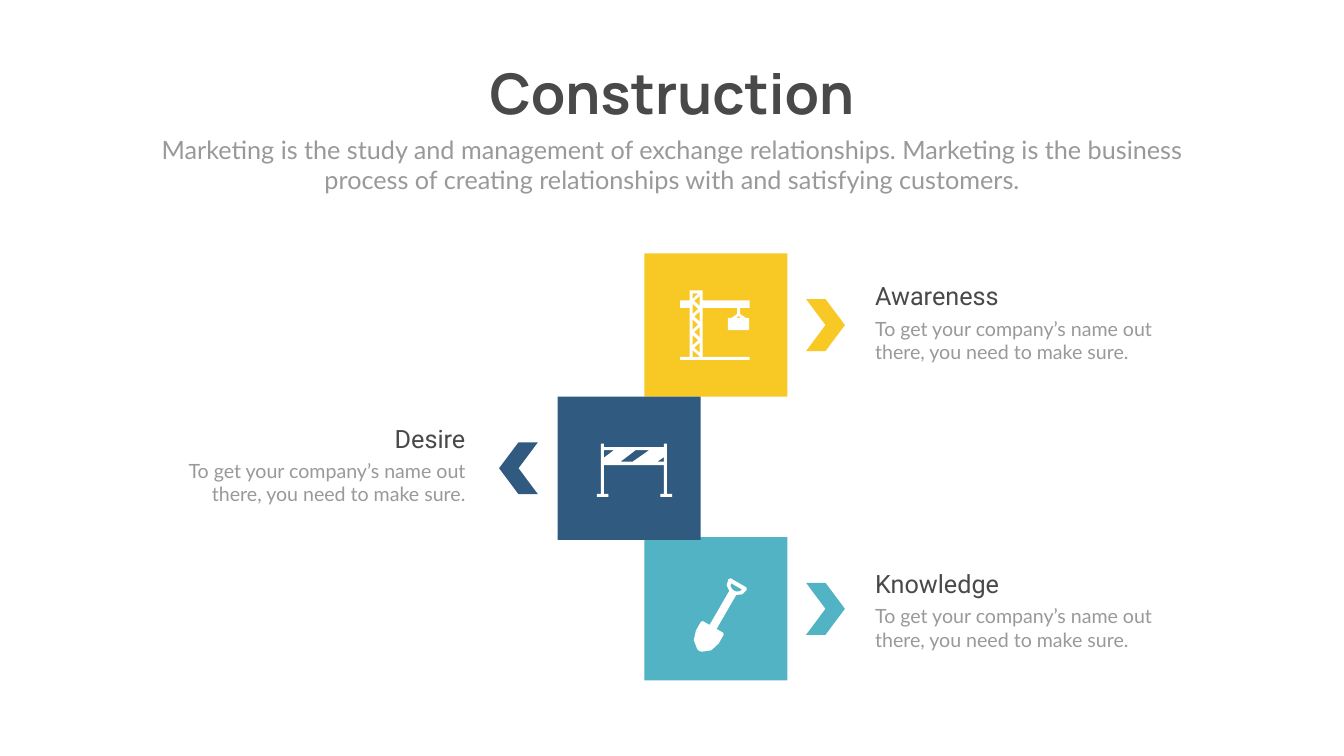
"""Build the Construction slide: three stepped squares with icons, chevrons and captions."""
from pptx import Presentation
from pptx.dml.color import RGBColor
from pptx.enum.shapes import MSO_SHAPE
from pptx.enum.text import MSO_AUTO_SIZE, PP_ALIGN
from pptx.util import Inches, Pt

RECTANGLE, CHEVRON = MSO_SHAPE.RECTANGLE, MSO_SHAPE.CHEVRON
LEFT, CENTER, RIGHT = PP_ALIGN.LEFT, PP_ALIGN.CENTER, PP_ALIGN.RIGHT
FIT_SHAPE = MSO_AUTO_SIZE.SHAPE_TO_FIT_TEXT
WHITE = RGBColor(0xFF, 0xFF, 0xFF)
DARK = RGBColor(0x49, 0x49, 0x49)
GRAY = RGBColor(0x99, 0x99, 0x99)
YELLOW = RGBColor(0xF8, 0xC8, 0x25)
TEAL = RGBColor(0x52, 0xB3, 0xC4)
BLUE = RGBColor(0x30, 0x5A, 0x80)

SQUARE = 2.84
CHEVRON_WIDTH, CHEVRON_HEIGHT = 0.77, 1.03
HEADING_WIDTH, HEADING_HEIGHT = 3.26, 0.71
DETAIL_WIDTH, DETAIL_HEIGHT = 5.85, 1.04
DETAIL = "To get your company’s name out there, you need to make sure."


def add_text(group, box, text, font_name, size, color, align, wrap=True, bold=False):
    frame = group.shapes.add_textbox(*map(Inches, box)).text_frame
    frame.word_wrap = wrap
    frame.auto_size = FIT_SHAPE
    paragraph = frame.paragraphs[0]
    paragraph.text = text
    paragraph.alignment = align
    font = paragraph.font
    font.name, font.size, font.bold = font_name, Pt(size), bold
    font.color.rgb = color


def add_icon(contours):
    scaled = [[(Inches(x), Inches(y)) for x, y in contour] for contour in contours]
    builder = slide.shapes.build_freeform(*scaled[0][0])
    for contour in scaled:
        builder.move_to(*contour[0])
        builder.add_line_segments(contour[1:], close=True)
    icon = builder.convert_to_shape()
    icon.shadow.inherit = False
    icon.fill.solid()
    icon.fill.fore_color.rgb = WHITE
    icon.line.fill.background()
    return icon


prs = Presentation()
prs.slide_width, prs.slide_height = Inches(26.66), Inches(15)
slide = prs.slides.add_slide(prs.slide_layouts[6])

header = slide.shapes.add_group_shape()
add_text(header, (9.44, 1.12, 7.78, 1.45), "Construction", "Manrope", 80, DARK, CENTER,
         wrap=False, bold=True)
add_text(header, (2.92, 2.61, 20.82, 1.31),
         "Marketing is the study and management of exchange relationships. "
         "Marketing is the business process of creating relationships with and satisfying customers.",
         "Lato", 36, GRAY, CENTER)

steps = [
    ("Awareness", YELLOW, 12.78, 5.03, 15.99, 5.52, LEFT),
    ("Knowledge", TEAL, 12.78, 10.66, 15.99, 11.23, LEFT),
    ("Desire", BLUE, 11.06, 7.87, 9.9, 8.34, RIGHT),
]
for heading, color, square_left, square_top, chevron_left, heading_top, align in steps:
    chevron_top = square_top + (SQUARE - CHEVRON_HEIGHT) / 2
    for kind, box in (
        (CHEVRON, (chevron_left, chevron_top, CHEVRON_WIDTH, CHEVRON_HEIGHT)),
        (RECTANGLE, (square_left, square_top, SQUARE, SQUARE)),
    ):
        shape = slide.shapes.add_shape(kind, *map(Inches, box))
        shape.shadow.inherit = False
        shape.fill.solid()
        shape.fill.fore_color.rgb = color
        shape.line.fill.background()
        if kind == CHEVRON and align == RIGHT:
            shape.rotation = 180

    caption = slide.shapes.add_group_shape()
    detail_left, heading_left = 17.26, 17.26
    if align == RIGHT:
        detail_left, heading_left = 9.33 - DETAIL_WIDTH, 9.33 - HEADING_WIDTH
    add_text(caption, (detail_left, heading_top + HEADING_HEIGHT, DETAIL_WIDTH, DETAIL_HEIGHT),
             DETAIL, "Lato", 28, GRAY, align)
    add_text(caption, (heading_left, heading_top, HEADING_WIDTH, HEADING_HEIGHT),
             heading, "Roboto", 36, DARK, align)

shovel_x, shovel_y = 14.26, 12.24
half_blade = [(0.18, -0.78), (0.21, -0.74), (0.18, -0.62), (0.08, -0.55), (0.08, 0.23),
              (0.23, 0.23), (0.26, 0.26), (0.26, 0.46), (0.2, 0.65), (0.05, 0.77), (0, 0.78)]
half_grip = [(0.13, -0.7), (0.1, -0.64), (0.05, -0.61), (0, -0.6)]
shovel = [
    [(shovel_x + x, shovel_y + y) for x, y in half]
    + [(shovel_x - x, shovel_y + y) for x, y in reversed(half[:-1])]
    for half in (half_blade, half_grip)
]
add_icon(shovel).rotation = 30

crane = [
    [(13.68, 5.76), (13.94, 5.76), (13.94, 5.96), (14.87, 5.96), (14.87, 6.11), (14.68, 6.11),
     (14.68, 6.23), (14.8, 6.31), (14.86, 6.31), (14.86, 6.55), (14.44, 6.55), (14.44, 6.31),
     (14.51, 6.31), (14.62, 6.23), (14.62, 6.11), (13.94, 6.11), (13.94, 7.08), (14.87, 7.08),
     (14.87, 7.14), (13.49, 7.14), (13.49, 7.08), (13.68, 7.08), (13.68, 6.11), (13.49, 6.11),
     (13.49, 5.96), (13.68, 5.96)],
    [(14.7, 6.31), (14.6, 6.31), (14.65, 6.27)],
    [(13.74, 5.82), (13.85, 5.82), (13.74, 5.93)],
    [(13.74, 6.95), (13.88, 7.07), (13.88, 7.08), (13.74, 7.08)],
]
for brace in range(4):
    y = 5.87 + brace * 0.31
    crane.append([(13.88, y), (13.77, y + 0.1), (13.88, y + 0.2)])
for brace in range(3):
    y = 6.03 + brace * 0.31
    crane.append([(13.74, y), (13.85, y + 0.1), (13.74, y + 0.2)])
add_icon(crane)

barrier = [
    [(11.92, 8.8), (11.98, 8.8), (11.98, 8.87), (13.17, 8.87), (13.17, 8.8), (13.23, 8.8),
     (13.23, 9.8), (13.33, 9.8), (13.33, 9.86), (13.1, 9.86), (13.1, 9.8), (13.17, 9.8),
     (13.17, 9.23), (11.98, 9.23), (11.98, 9.8), (12.07, 9.8), (12.07, 9.86), (11.84, 9.86),
     (11.84, 9.8), (11.92, 9.8)],
    [(12.31, 9.16), (12.61, 8.93), (12.88, 8.93), (12.55, 9.16)],
    [(12.18, 8.93), (11.98, 9.08), (11.98, 8.93)],
    [(13.04, 9.16), (13.17, 9.07), (13.17, 9.16)],
]
add_icon(barrier)

prs.save("out.pptx")
